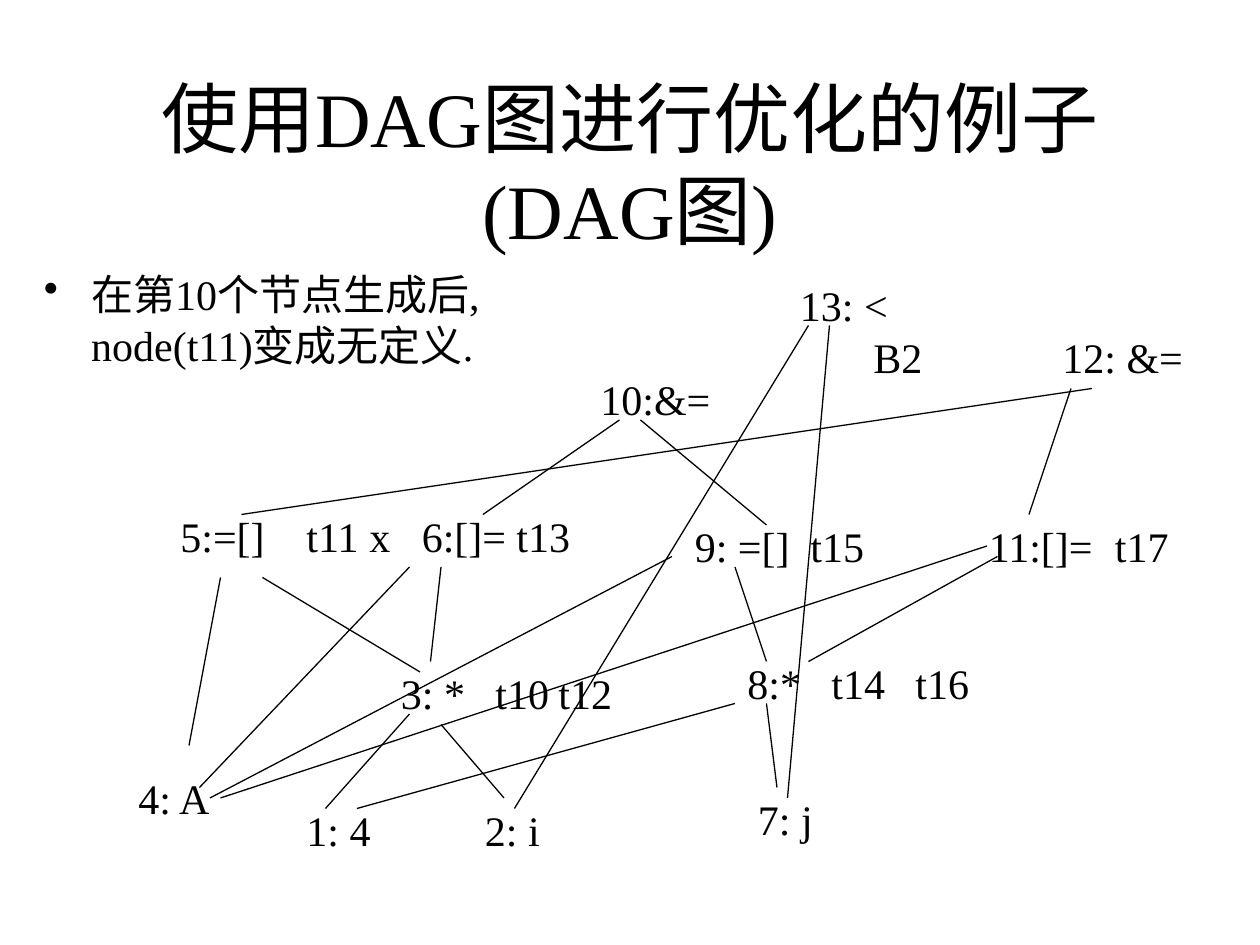
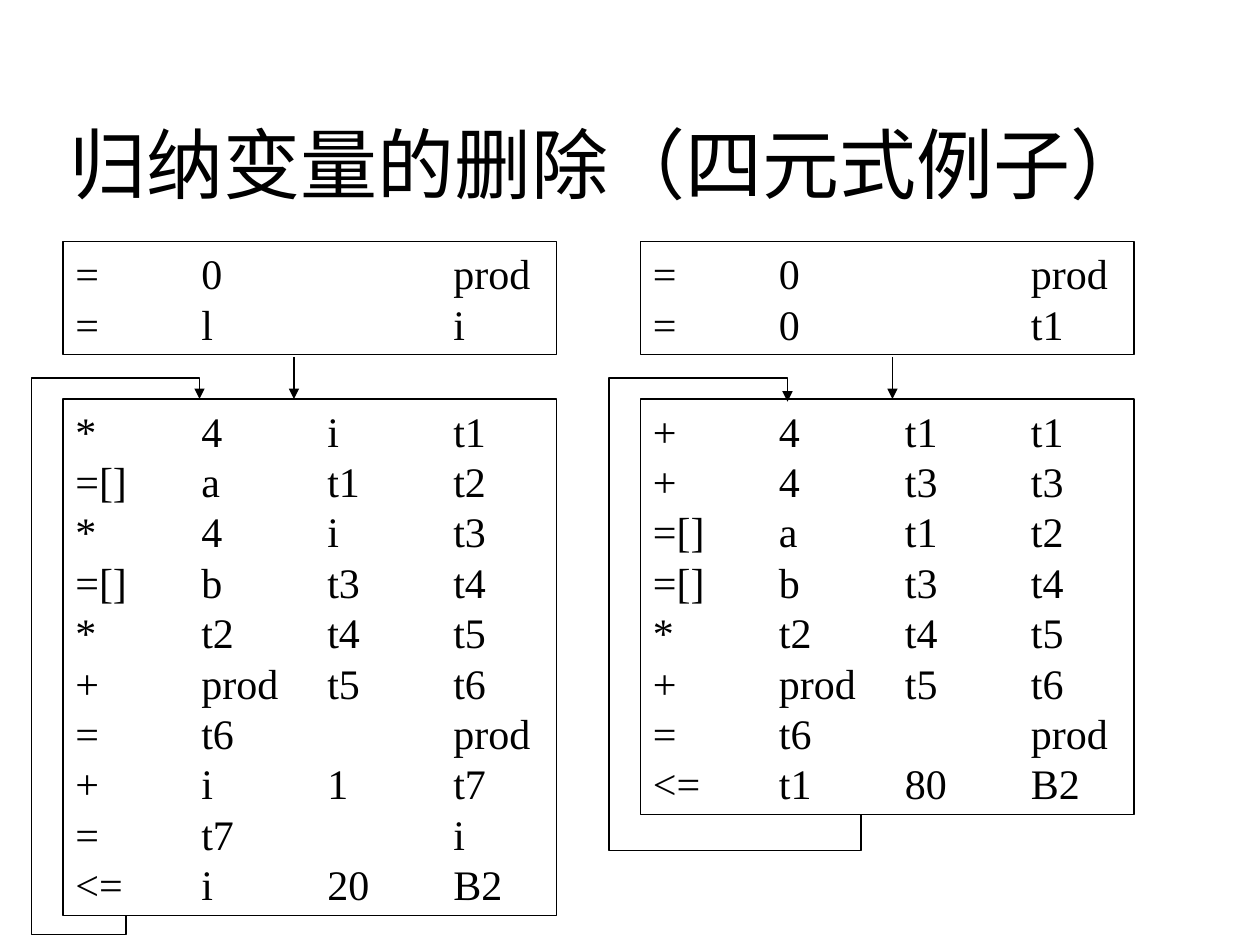
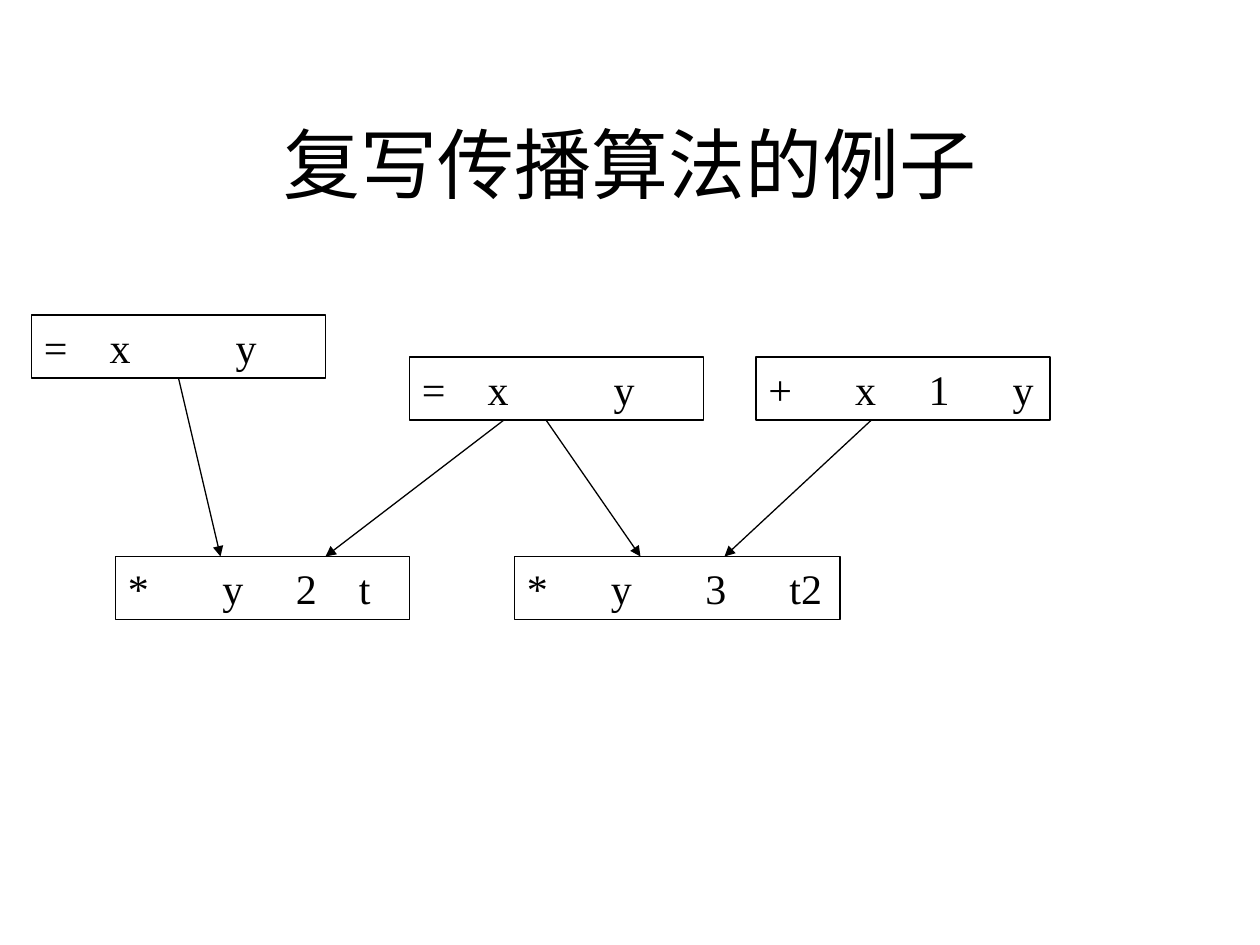
"""Build three slides on DAG optimisation, induction variables and copy propagation."""
from lxml.etree import SubElement
from pptx import Presentation
from pptx.dml.color import RGBColor
from pptx.enum.shapes import MSO_CONNECTOR, MSO_SHAPE
from pptx.enum.text import MSO_ANCHOR, PP_ALIGN
from pptx.oxml.ns import qn
from pptx.util import Pt

COLORS = {"ink": "000000", "paper": "FFFFFF"}
FONT = "Times New Roman"
TITLE_SIZE, TEXT_SIZE = 44, 24
LEADING = 1.2
LINE_WIDTH = 0.75
TITLE_AREA = (54, 48, 612, 90)
WIDE_TITLE_AREA = (30, 48, 636, 90)
ROW_HEIGHT = 36

DAG_TITLE = ["使用DAG图进行优化的例子", "(DAG图)"]
DAG_NOTE = "在第10个节点生成后, node(t11)变成无定义."
DAG_NODES = {
    156: [(450, 84, "13: <")],
    186: [(492, 60, "B2"), (600, 90, "12: &=")],
    210: [(336, 90, "10:&=")],
    288: [(96, 72, "5:=[]"), (168, 48, "t11"), (204, 30, "x"),
          (234, 66, "6:[]="), (288, 48, "t13")],
    294: [(390, 78, "9: =[]"), (456, 48, "t15"),
          (558, 84, "11:[]="), (630, 48, "t17")],
    372: [(420, 60, "8:*"), (468, 54, "t14"), (516, 54, "t16")],
    378: [(222, 54, "3: *"), (276, 54, "t10"), (312, 48, "t12")],
    438: [(72, 66, "4: A")],
    450: [(426, 60, "7: j")],
    456: [(168, 54, "1: 4"), (270, 48, "2: i")],
}
DAG_EDGES = [
    ((186, 462), (234, 408)), ((288, 456), (252, 414)),
    ((108, 426), (126, 330)), ((150, 330), (240, 384)),
    ((114, 450), (234, 324)), ((246, 378), (252, 324)),
    ((204, 462), (420, 402)), ((438, 402), (444, 450)),
    ((120, 456), (384, 318)), ((438, 378), (420, 324)),
    ((276, 294), (354, 240)), ((366, 240), (438, 300)),
    ((126, 456), (564, 312)), ((462, 378), (570, 318)),
    ((588, 294), (612, 222)), ((138, 294), (624, 222)),
    ((294, 462), (462, 186)), ((474, 186), (450, 456)),
]

INDUCTION_TITLE = ["归纳变量的删除（四元式例子）"]
QUAD_TABS = [72, 144, 216]
QUAD_WIDTH, ENTRY_TOP, LOOP_TOP = 282, 138, 228
PROGRAMS = [
    {"left": 36, "arrow_x": 168, "exit_x": 72, "return_x": 114, "return_y": 228, "low_y": 534,
     "entry": [("=", "0", "", "prod"), ("=", "l", "", "i")],
     "loop": [("*", "4", "i", "t1"), ("=[]", "a", "t1", "t2"),
              ("*", "4", "i", "t3"), ("=[]", "b", "t3", "t4"),
              ("*", "t2", "t4", "t5"), ("+", "prod", "t5", "t6"),
              ("=", "t6", "", "prod"), ("+", "i", "1", "t7"),
              ("=", "t7", "", "i"), ("<=", "i", "20", "B2")]},
    {"left": 366, "arrow_x": 510, "exit_x": 492, "return_x": 450, "return_y": 229.5, "low_y": 486,
     "entry": [("=", "0", "", "prod"), ("=", "0", "", "t1")],
     "loop": [("+", "4", "t1", "t1"), ("+", "4", "t3", "t3"),
              ("=[]", "a", "t1", "t2"), ("=[]", "b", "t3", "t4"),
              ("*", "t2", "t4", "t5"), ("+", "prod", "t5", "t6"),
              ("=", "t6", "", "prod"), ("<=", "t1", "80", "B2")]},
]

COPY_TITLE = ["复写传播算法的例子"]
COPY_QUADS = [
    (18, 180, 168, ("=", "x", "y"), [37.5, 109.5]),
    (66, 318, 168, ("*", "y", "2", "t"), [54, 96, 132]),
    (234, 204, 168, ("=", "x", "y"), [37.5, 109.5]),
    (294, 318, 186, ("*", "y", "3", "t2"), [48, 102, 150]),
    (432, 204, 168, ("+", "x", "1", "y"), [49.5, 91.5, 139.5]),
]
COPY_FLOWS = [
    ((102, 216), (126, 318)), ((288, 240), (186, 318)),
    ((312, 240), (366, 318)), ((498, 240), (414, 318)),
]


def ink(color):
    return RGBColor.from_string(COLORS[color])


def add_run(paragraph, text, size):
    run = paragraph.add_run()
    run.text = text
    run.font.name = FONT
    run.font.size = Pt(size)
    run.font.color.rgb = ink("ink")


def set_tabs(paragraph, stops):
    tab_list = SubElement(paragraph._p.get_or_add_pPr(), qn("a:tabLst"))
    for stop in stops:
        SubElement(tab_list, qn("a:tab"), pos=str(int(Pt(stop))), algn="l")


def write(frame, lines, size=TEXT_SIZE, tabs=()):
    frame.word_wrap = True
    frame.vertical_anchor = MSO_ANCHOR.TOP
    for index, line in enumerate(lines):
        paragraph = frame.add_paragraph() if index else frame.paragraphs[0]
        if tabs:
            set_tabs(paragraph, tabs)
        paragraph.alignment = PP_ALIGN.LEFT
        paragraph.line_spacing = Pt(size * LEADING)
        add_run(paragraph, line, size)


def add_label(slide, area, text):
    frame = slide.shapes.add_textbox(*map(Pt, area)).text_frame
    write(frame, [text])
    return frame


def add_title(slide, lines, area=TITLE_AREA):
    frame = slide.shapes.add_textbox(*map(Pt, area)).text_frame
    frame.word_wrap = True
    frame.vertical_anchor = MSO_ANCHOR.MIDDLE
    title = frame.paragraphs[0]
    title.alignment = PP_ALIGN.CENTER
    title.line_spacing = Pt(TITLE_SIZE * LEADING)
    for index, line in enumerate(lines):
        if index:
            title.add_line_break()
        add_run(title, line, TITLE_SIZE)


def draw_outline(line, arrow=False):
    line.color.rgb = ink("ink")
    line.width = Pt(LINE_WIDTH)
    if arrow:
        SubElement(line._get_or_add_ln(), qn("a:tailEnd"), type="triangle")


def add_edge(slide, start, end, arrow=False):
    edge = slide.shapes.add_connector(MSO_CONNECTOR.STRAIGHT, *map(Pt, start + end))
    draw_outline(edge.line, arrow)
    SubElement(edge._element.spPr, qn("a:effectLst"))


def add_quads(slide, left, top, width, quads, tabs):
    """Frame the quadruples and return the bottom of the frame."""
    height = ROW_HEIGHT + (len(quads) - 1) * TEXT_SIZE * LEADING
    block = slide.shapes.add_shape(MSO_SHAPE.RECTANGLE, *map(Pt, (left, top, width, height)))
    block.shadow.inherit = False
    block.fill.background()
    draw_outline(block.line)
    write(block.text_frame, ["\t".join(quad) for quad in quads], tabs=tabs)
    return top + height


def add_back_edge(slide, points):
    (x, y), *rest = [tuple(map(Pt, point)) for point in points]
    builder = slide.shapes.build_freeform(x, y)
    builder.add_line_segments(rest, close=False)
    back_edge = builder.convert_to_shape()
    back_edge.shadow.inherit = False
    back_edge.fill.background()
    draw_outline(back_edge.line, arrow=True)


def build_dag(slide):
    add_title(slide, DAG_TITLE)
    note = add_label(slide, (18, 150, 276, 72), DAG_NOTE).paragraphs[0]
    properties = note._p.get_or_add_pPr()
    properties.set("marL", str(int(Pt(27))))
    properties.set("indent", str(int(Pt(-27))))
    SubElement(properties, qn("a:buChar"), char="•")
    for top, nodes in DAG_NODES.items():
        for left, width, text in nodes:
            add_label(slide, (left, top, width, ROW_HEIGHT), text)
    for start, end in DAG_EDGES:
        add_edge(slide, start, end)


def build_induction(slide):
    add_title(slide, INDUCTION_TITLE, WIDE_TITLE_AREA)
    for program in PROGRAMS:
        left, low_y = program["left"], program["low_y"]
        add_quads(slide, left, ENTRY_TOP, QUAD_WIDTH, program["entry"], QUAD_TABS)
        bottom = add_quads(slide, left, LOOP_TOP, QUAD_WIDTH, program["loop"], QUAD_TABS)
        add_edge(slide, (program["arrow_x"], LOOP_TOP - 24),
                 (program["arrow_x"], LOOP_TOP), arrow=True)
        side_x, high_y = left - 18, LOOP_TOP - 12
        add_back_edge(slide, [
            (program["exit_x"], bottom), (program["exit_x"], low_y),
            (side_x, low_y), (side_x, high_y),
            (program["return_x"], high_y), (program["return_x"], program["return_y"])])


def build_copy(slide):
    add_title(slide, COPY_TITLE)
    for left, top, width, quad, tabs in COPY_QUADS:
        add_quads(slide, left, top, width, [quad], tabs)
    for start, end in COPY_FLOWS:
        add_edge(slide, start, end, arrow=True)


def main():
    deck = Presentation()
    deck.slide_width, deck.slide_height = Pt(720), Pt(540)
    for build in (build_dag, build_induction, build_copy):
        slide = deck.slides.add_slide(deck.slide_layouts[6])
        slide.background.fill.solid()
        slide.background.fill.fore_color.rgb = ink("paper")
        build(slide)
    deck.save("out.pptx")


if __name__ == "__main__":
    main()
